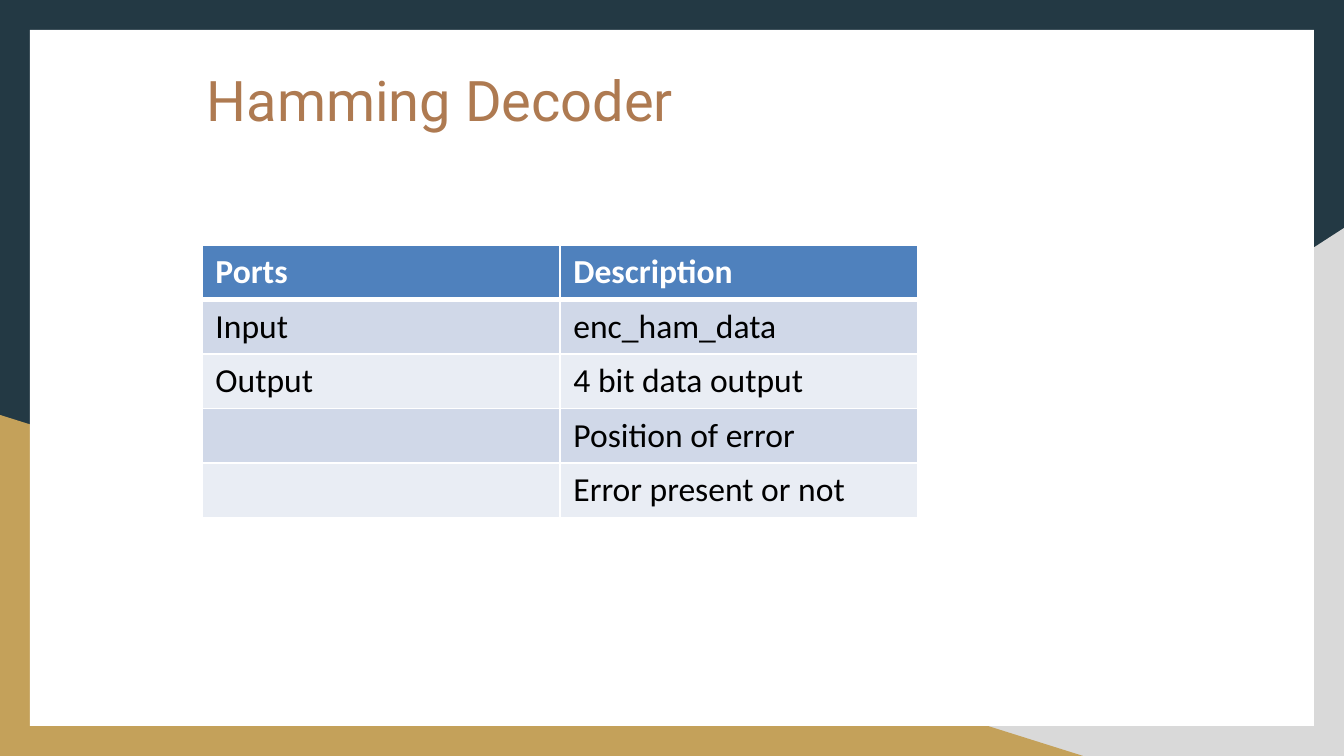
from pptx import Presentation
from pptx.dml.color import RGBColor
from pptx.enum.shapes import MSO_SHAPE
from pptx.enum.text import MSO_ANCHOR, PP_ALIGN
from pptx.oxml import parse_xml
from pptx.oxml.ns import nsdecls
from pptx.util import Pt

RECTANGLE = MSO_SHAPE.RECTANGLE
LEFT = PP_ALIGN.LEFT
MIDDLE = MSO_ANCHOR.MIDDLE

EMU_PER_PX = 914400 / 134.4
WIDTH, HEIGHT = 1344, 756

NAVY = RGBColor(0x23, 0x39, 0x44)
GREY = RGBColor(0xD9, 0xD9, 0xD9)
GOLD = RGBColor(0xC4, 0xA1, 0x5A)
WHITE = RGBColor(0xFF, 0xFF, 0xFF)
BLACK = RGBColor(0x00, 0x00, 0x00)
COPPER = RGBColor(0xAE, 0x7A, 0x51)
HEADER_BLUE = RGBColor(0x4F, 0x81, 0xBD)
BANDS = (RGBColor(0xD0, 0xD8, 0xE8), RGBColor(0xE9, 0xED, 0xF4))

PORTS = [
    ("Ports", "Description"),
    ("Input", "enc_ham_data"),
    ("Output", "4 bit data output"),
    ("", "Position of error"),
    ("", "Error present or not"),
]
ROW_HEIGHT = 54


def px(n):
    return round(n * EMU_PER_PX)


def paint(sp, color):
    sp.shadow.inherit = False
    sp.fill.solid()
    sp.fill.fore_color.rgb = color
    sp.line.fill.background()


def add_rectangle(slide, x, y, w, h, color):
    sp = slide.shapes.add_shape(RECTANGLE, px(x), px(y), px(w), px(h))
    paint(sp, color)


def add_polygon(slide, points, color):
    builder = slide.shapes.build_freeform(*points[0], scale=EMU_PER_PX)
    builder.add_line_segments(points[1:], close=True)
    paint(builder.convert_to_shape(), color)


def add_frame(slide):
    """Coloured border around the white content panel."""
    add_rectangle(slide, 0, 0, WIDTH, HEIGHT, NAVY)
    add_polygon(slide, [(WIDTH, HEIGHT), (527, HEIGHT), (WIDTH, 228)], GREY)
    add_polygon(slide, [(1083, HEIGHT), (0, HEIGHT), (0, 415)], GOLD)
    add_rectangle(slide, 30, 30, WIDTH - 60, HEIGHT - 60 + 30 - 30, WHITE)


def set_title(slide, text, x, y, w, h):
    title = slide.shapes.title
    slide.shapes._spTree.append(title._element)  # in front of the frame
    title.left, title.top, title.width, title.height = map(px, (x, y, w, h))
    tf = title.text_frame
    tf.margin_left = tf.margin_right = tf.margin_top = tf.margin_bottom = 0
    tf.vertical_anchor = MIDDLE
    tf.text = text
    p = tf.paragraphs[0]
    p.alignment = LEFT
    p.font.name = "Roboto"
    p.font.size = Pt(30)
    p.font.color.rgb = COPPER


def set_borders(cell, bottom_pt):
    tcPr = cell._tc.get_or_add_tcPr()
    widths = {"lnL": 1, "lnR": 1, "lnT": 1, "lnB": bottom_pt}
    for i, (tag, pt) in enumerate(widths.items()):
        tcPr.insert(i, parse_xml(
            f'<a:{tag} {nsdecls("a")} w="{Pt(pt)}"><a:solidFill>'
            f'<a:srgbClr val="{WHITE}"/></a:solidFill></a:{tag}>'))


def fill_cell(cell, text, row):
    header = row == 0
    cell.fill.solid()
    cell.fill.fore_color.rgb = HEADER_BLUE if header else BANDS[(row - 1) % 2]
    set_borders(cell, 3 if header else 1)
    cell.text = text
    font = cell.text_frame.paragraphs[0].font
    font.name = "Calibri"
    font.size = Pt(18)
    font.bold = header
    font.color.rgb = WHITE if header else BLACK


def add_ports_table(slide, x, y, w):
    table = slide.shapes.add_table(
        len(PORTS), 2, px(x), px(y), px(w), px(ROW_HEIGHT * len(PORTS))).table
    table.horz_banding = False
    for r, texts in enumerate(PORTS):
        for c, text in enumerate(texts):
            fill_cell(table.cell(r, c), text, r)


def main():
    prs = Presentation()
    prs.slide_width, prs.slide_height = px(WIDTH), px(HEIGHT)
    slide = prs.slides.add_slide(prs.slide_layouts[5])
    add_frame(slide)
    set_title(slide, "Hamming Decoder", 207, 66, 930, 67)
    add_ports_table(slide, 202, 245, 716)
    prs.save("out.pptx")


if __name__ == "__main__":
    main()
